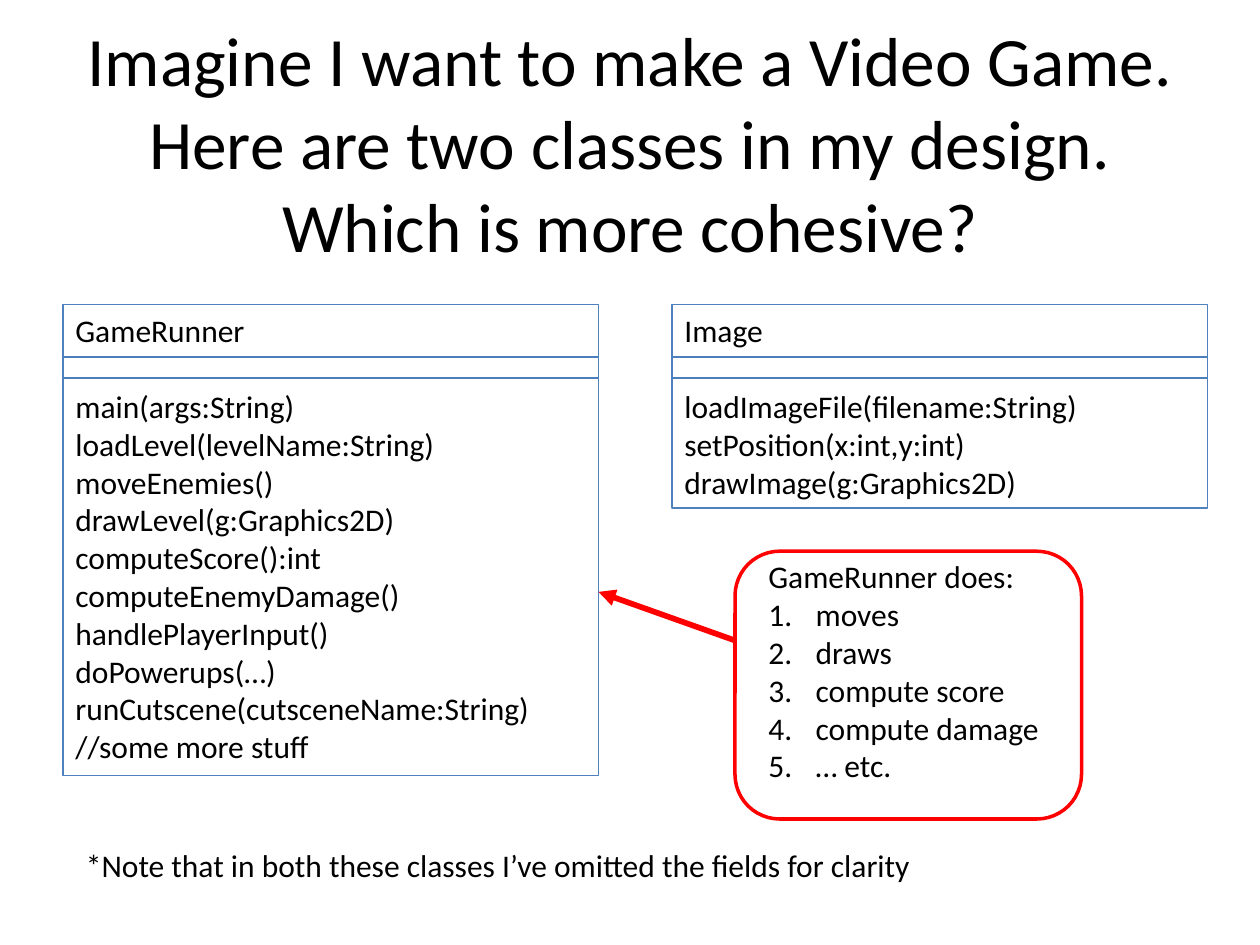
from dataclasses import dataclass

from lxml import etree
from pptx import Presentation
from pptx import util as u
from pptx.dml.color import RGBColor
from pptx.enum import shapes, text
from pptx.oxml.ns import qn

PX = 9525  # EMU per px, 96 px to the inch
BLACK = RGBColor(0x00, 0x00, 0x00)
BLUE = RGBColor(0x4F, 0x81, 0xBD)
RULE_BLUE = RGBColor(0x4B, 0x7E, 0xBC)
RED = RGBColor(0xFF, 0x00, 0x00)
FONT = "Calibri"
BODY_PT = 18
LINE_PT = 22
CLASS_TOP, CLASS_WIDTH = 232, 408
RULES_Y = (272, 288)
LIST_INDENT = 36


@dataclass
class ClassBox:
    name: str
    methods: list[str]
    left: int
    height: int


CLASSES = [
    ClassBox("GameRunner", [
        "main(args:String)",
        "loadLevel(levelName:String)",
        "moveEnemies()",
        "drawLevel(g:Graphics2D)",
        "computeScore():int",
        "computeEnemyDamage()",
        "handlePlayerInput()",
        "doPowerups(…)",
        "runCutscene(cutsceneName:String)",
        "//some more stuff",
    ], 48, 359),
    ClassBox("Image", [
        "loadImageFile(filename:String)",
        "setPosition(x:int,y:int)",
        "drawImage(g:Graphics2D)",
    ], 512, 155),
]
DUTIES = ["moves", "draws", "compute score", "compute damage", "… etc."]


def px(*lengths: int) -> list[int]:
    return [n * PX for n in lengths]


def write(tf, lines: list[str], size: float = BODY_PT,
          align=text.PP_ALIGN.LEFT) -> None:
    tf.word_wrap = True
    tf.text = "\n".join(lines)
    for p in tf.paragraphs:
        p.alignment = align
        for r in p.runs:
            r.font.name = FONT
            r.font.size = u.Pt(size)
            r.font.color.rgb = BLACK


def add_text(slide, box: tuple[int, int, int, int], lines: list[str], **style):
    tf = slide.shapes.add_textbox(*px(*box)).text_frame
    write(tf, lines, **style)
    return tf


def add_outline(slide, kind, box: tuple[int, int, int, int],
                color: RGBColor, width: float):
    sp = slide.shapes.add_shape(kind, *px(*box))
    sp.shadow.inherit = False
    sp.fill.background()
    sp.line.color.rgb = color
    sp.line.width = u.Pt(width)
    return sp


def add_line(slide, ends: tuple[int, int, int, int], color: RGBColor,
             width: float, arrow: bool = False) -> None:
    cx = slide.shapes.add_connector(shapes.MSO_CONNECTOR.STRAIGHT, *px(*ends))
    cx.line.color.rgb = color
    cx.line.width = u.Pt(width)
    if arrow:
        etree.SubElement(cx.line._get_or_add_ln(), qn("a:tailEnd"), type="triangle")
    etree.SubElement(cx._element.spPr, qn("a:effectLst"))


def add_class(slide, c: ClassBox) -> None:
    sp = add_outline(slide, shapes.MSO_SHAPE.RECTANGLE,
                     (c.left, CLASS_TOP, CLASS_WIDTH, c.height), BLUE, 0.75)
    tf = sp.text_frame
    tf.vertical_anchor = text.MSO_ANCHOR.TOP
    write(tf, [c.name, *c.methods])
    # One line of space leaves room for the empty field section
    tf.paragraphs[1].space_before = u.Pt(LINE_PT)
    for y in RULES_Y:
        add_line(slide, (c.left, y, c.left + CLASS_WIDTH, y), RULE_BLUE, 0.75)


def number(p) -> None:
    pPr = p._p.get_or_add_pPr()
    indent = LIST_INDENT * PX
    pPr.set("marL", str(indent))
    pPr.set("indent", str(-indent))
    etree.SubElement(pPr, qn("a:buFont"), typeface="+mj-lt")
    etree.SubElement(pPr, qn("a:buAutoNum"), type="arabicPeriod")


def main() -> None:
    prs = Presentation()
    prs.slide_width, prs.slide_height = px(960, 720)
    slide = prs.slides.add_slide(prs.slide_layouts[6])

    # Title
    title = add_text(slide, (48, 48, 864, 120), [
        "Imagine I want to make a Video Game. Here are two classes "
        "in my design. Which is more cohesive?"],
        size=39.6, align=text.PP_ALIGN.CENTER)
    title.vertical_anchor = text.MSO_ANCHOR.MIDDLE

    # Class diagrams
    for c in CLASSES:
        add_class(slide, c)

    # Note
    add_text(slide, (56, 640, 656, 38),
             ["*Note that in both these classes I’ve omitted the fields for clarity"])

    # Callout with numbered duties
    duties = add_text(slide, (576, 420, 236, 184), ["GameRunner does:", *DUTIES])
    for p in duties.paragraphs[1:]:
        number(p)
    add_outline(slide, shapes.MSO_SHAPE.ROUNDED_RECTANGLE,
                (560, 420, 264, 204), RED, 2)
    add_line(slide, (560, 488, 456, 451), RED, 3.25, arrow=True)

    prs.save("out.pptx")


if __name__ == "__main__":
    main()
